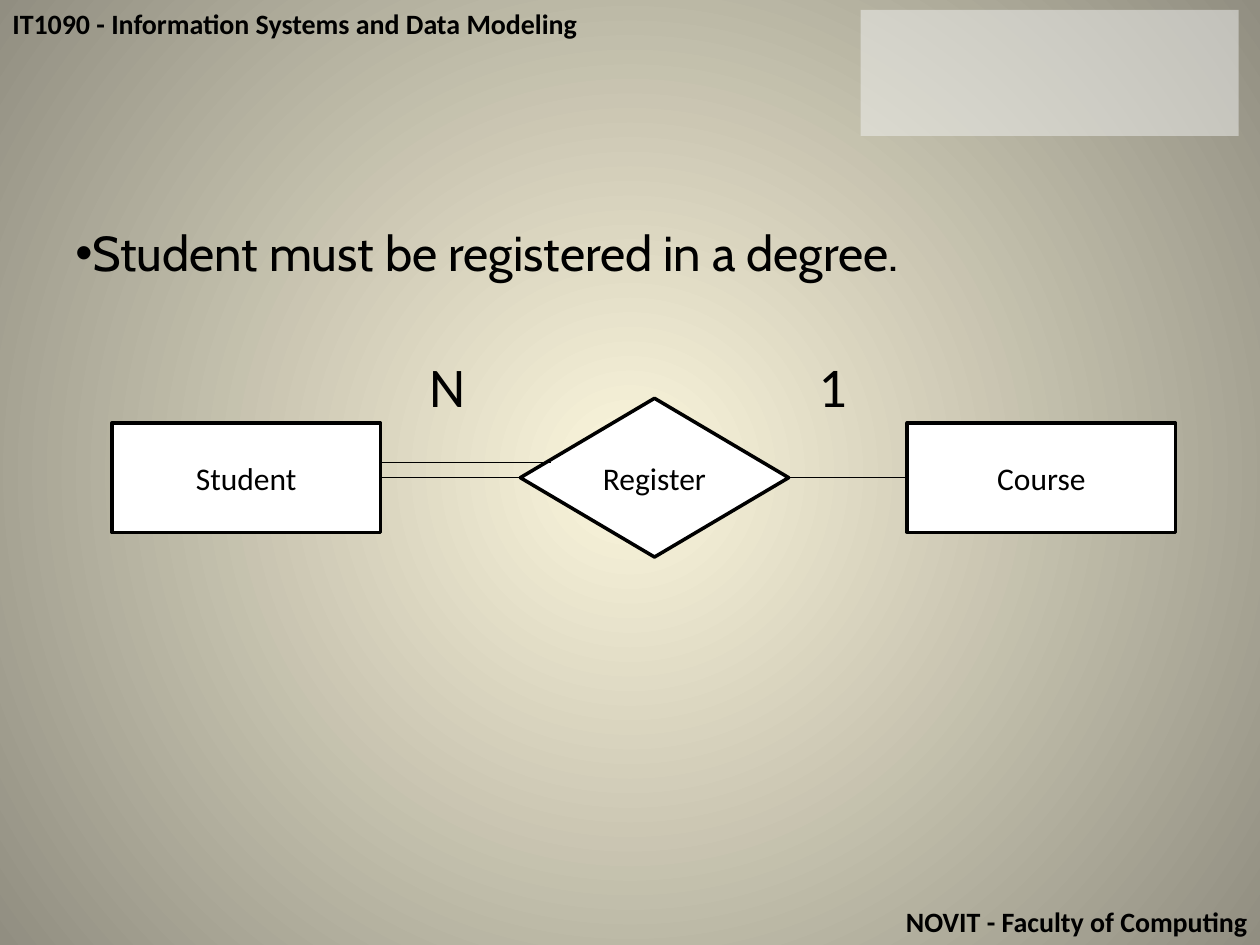
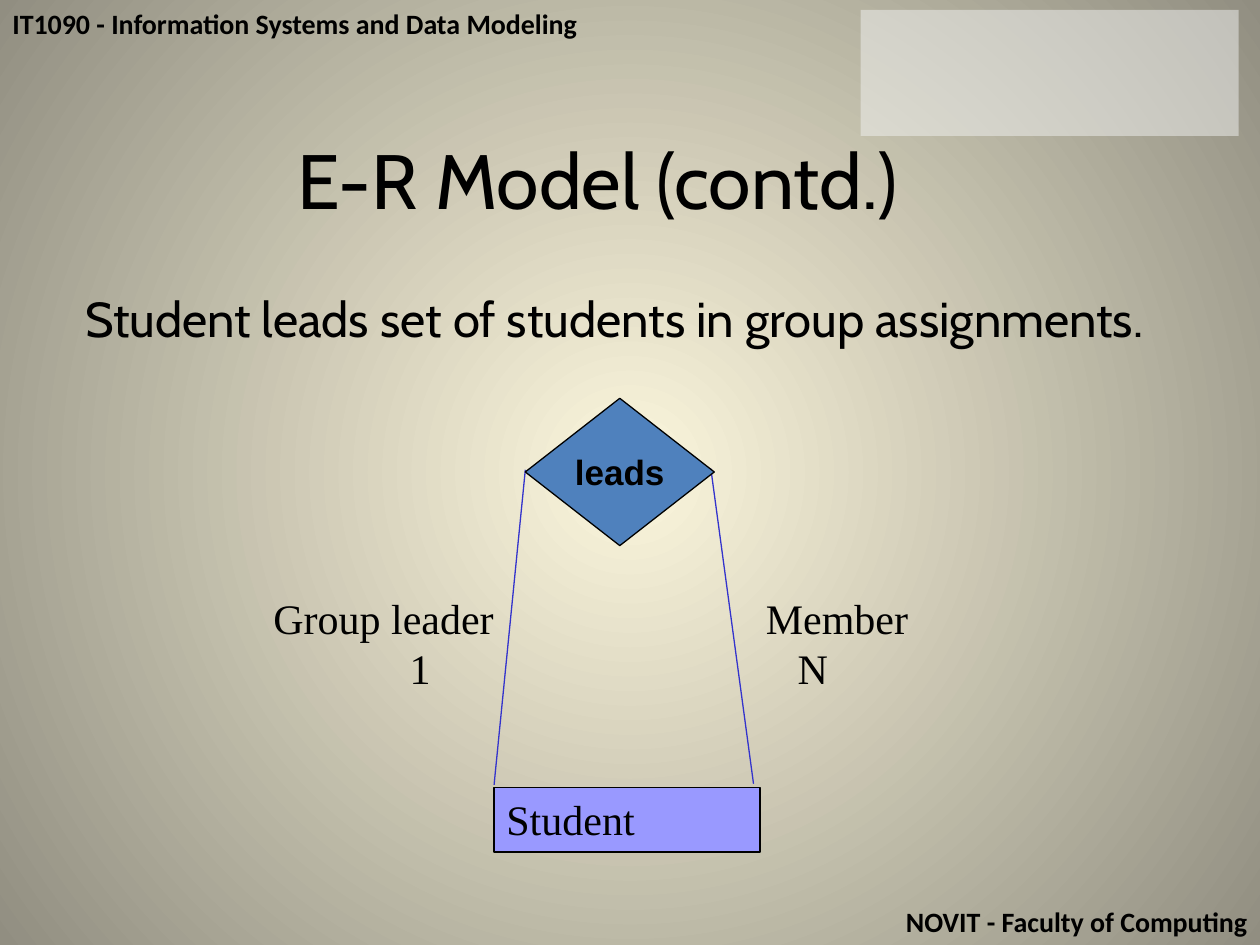
from lxml.etree import SubElement
from pptx import Presentation
from pptx.dml.color import RGBColor
from pptx.enum.shapes import MSO_CONNECTOR as Connector, MSO_SHAPE as Shape
from pptx.enum.text import MSO_ANCHOR as Anchor, PP_ALIGN as Align
from pptx.oxml.ns import qn
from pptx.util import Cm, Pt

WIDTH, HEIGHT = 25.4, 19.05
BAND_HEIGHT = 0.94
COLORS = {
    "glow": "FCF7DD", "edge": "918E81", "panel": "F2F2F2",
    "ink": "000000", "paper": "FFFFFF", "lilac": "9999FF",
    "steel": "4F81BD", "link": "3333CC",
}
HEADER = "IT1090 - Information Systems and Data Modeling"
FOOTER = "NOVIT - Faculty of Computing"

# Places are left, top, width, height in centimetres.
PANEL = (17.35, 0.2, 7.62, 2.54)
STATEMENT = dict(font="Cabin", size=28)
SERIF = dict(font="Times New Roman", size=24)

REGISTRATION = {
    "statement": "Student must be registered in a degree.",
    "middle": 9.63,
    "node_width": 5.41,
    "nodes": [
        ("Student", Shape.RECTANGLE, 2.26, 2.21),
        ("Register", Shape.DIAMOND, 10.49, 3.2),
        ("Course", Shape.RECTANGLE, 18.29, 2.21),
    ],
    "cardinalities": [("N", 8.4), ("1", 16.25)],
    "double_line": (9.32, 11.1),
}
LEADERSHIP = {
    "title": "E-R Model (contd.)",
    "statement": "Student leads set of students in group assignments.",
    "entity": ("Student", (9.96, 15.88, 5.36, 1.3)),
    "relation": ("leads", (10.59, 8.03, 3.81, 2.97)),
    "roles": [
        ("Group leader", "1", 5.26, 5.0, 2.75),
        ("Member", "N", 15.19, 3.4, 0.64),
    ],
    "links": [((9.96, 15.82), (10.59, 9.47)), ((14.33, 9.45), (15.19, 15.8))],
}


def color(name):
    return RGBColor.from_string(COLORS[name])


def write(box, text, font="Calibri", size=18, bold=False, align=Align.LEFT,
          anchor=Anchor.TOP, wrap=True, bullet=None, indents=()):
    """Fill a shape with text, one paragraph a line; indents are in cm."""
    frame = box.text_frame
    frame.word_wrap = wrap
    frame.vertical_anchor = anchor
    for index, line in enumerate(text.split("\n")):
        para = frame.add_paragraph() if index else frame.paragraphs[0]
        para.alignment = align
        span = para.add_run()
        span.text = line
        span.font.name, span.font.size, span.font.bold = font, Pt(size), bold
        span.font.color.rgb = color("ink")
        properties = para._p.get_or_add_pPr()
        if index < len(indents):
            properties.set("marL", str(Cm(indents[index])))
        if bullet:
            SubElement(properties, qn("a:buFont"), typeface="Arial")
            SubElement(properties, qn("a:buChar"), char=bullet)


def add_text(page, place, text, **style):
    write(page.shapes.add_textbox(*map(Cm, place)), text, **style)


def add_node(page, kind, place, fill, line_width=0.75):
    node = page.shapes.add_shape(kind, *map(Cm, place))
    node.shadow.inherit = False
    node.fill.solid()
    node.fill.fore_color.rgb = color(fill)
    if line_width:
        node.line.color.rgb = color("ink")
        node.line.width = Pt(line_width)
    else:
        node.line.fill.background()
    return node


def add_link(page, start, end, tint="ink"):
    link = page.shapes.add_connector(Connector.STRAIGHT, *map(Cm, start + end))
    link.line.color.rgb = color(tint)
    link.line.width = Pt(0.75)
    SubElement(link._element.spPr, qn("a:effectLst"))


def paint_background(master):
    """Give the master a glow that spreads from the middle of the slide."""
    fill = master.background.fill
    fill.gradient()
    for stop, name in zip(fill.gradient_stops, ("glow", "edge")):
        stop.color.rgb = color(name)
    gradient = master.element.find(".//" + qn("a:gradFill"))
    gradient.remove(gradient.find(qn("a:lin")))
    spread = SubElement(gradient, qn("a:path"), path="circle")
    SubElement(spread, qn("a:fillToRect"), l="50000", t="50000", r="50000", b="50000")


def add_page(deck):
    """Add a slide with the shared header, footer and pale panel."""
    page = deck.slides.add_slide(deck.slide_layouts[6])
    bands = [(HEADER, 0, Align.LEFT), (FOOTER, HEIGHT - BAND_HEIGHT, Align.RIGHT)]
    for text, top, align in bands:
        add_text(page, (0, top, WIDTH, BAND_HEIGHT), text,
                 size=16, bold=True, align=align)
    panel = add_node(page, Shape.RECTANGLE, PANEL, "panel", line_width=0)
    tint = panel._element.spPr.find(".//" + qn("a:srgbClr"))
    SubElement(tint, qn("a:alpha"), val="50000")
    return page


def build_registration(page, content):
    add_text(page, (1.27, 4.37, 23.5, 1.45), content["statement"],
             bullet="•", indents=(0,), **STATEMENT)
    for text, left in content["cardinalities"]:
        add_text(page, (left, 6.96, 1.3, 1.6), text, size=32)

    middle, width = content["middle"], content["node_width"]
    for text, kind, left, height in content["nodes"]:
        place = (left, middle - height / 2, width, height)
        write(add_node(page, kind, place, "paper", line_width=2), text,
              align=Align.CENTER, anchor=Anchor.MIDDLE, wrap=False)

    lefts = [left for _, _, left, _ in content["nodes"]]
    for left, next_left in zip(lefts, lefts[1:]):
        add_link(page, (left + width, middle), (next_left, middle))
    height, end = content["double_line"]
    add_link(page, (lefts[0] + width, height), (end, height))


def build_leadership(page, content):
    add_text(page, (3.2, 2.54, 17.7, 2.74), content["title"],
             font="Cabin", size=44, align=Align.CENTER)
    text, place = content["entity"]
    write(add_node(page, Shape.RECTANGLE, place, "lilac"), text, **SERIF)
    for start, end in content["links"]:
        add_link(page, start, end, "link")
    for role, cardinality, left, width, indent in content["roles"]:
        add_text(page, (left, 11.81, width, 2.31), f"{role}\n{cardinality}",
                 indents=(0, indent), **SERIF)
    text, place = content["relation"]
    write(add_node(page, Shape.DIAMOND, place, "steel"), text, font="Arial", size=20,
          bold=True, align=Align.CENTER, anchor=Anchor.MIDDLE, wrap=False)
    add_text(page, (1.47, 5.69, 22.43, 1.45), content["statement"], **STATEMENT)


def main():
    deck = Presentation()
    deck.slide_width, deck.slide_height = Cm(WIDTH), Cm(HEIGHT)
    paint_background(deck.slide_master)
    build_registration(add_page(deck), REGISTRATION)
    build_leadership(add_page(deck), LEADERSHIP)
    deck.save("out.pptx")


if __name__ == "__main__":
    main()
